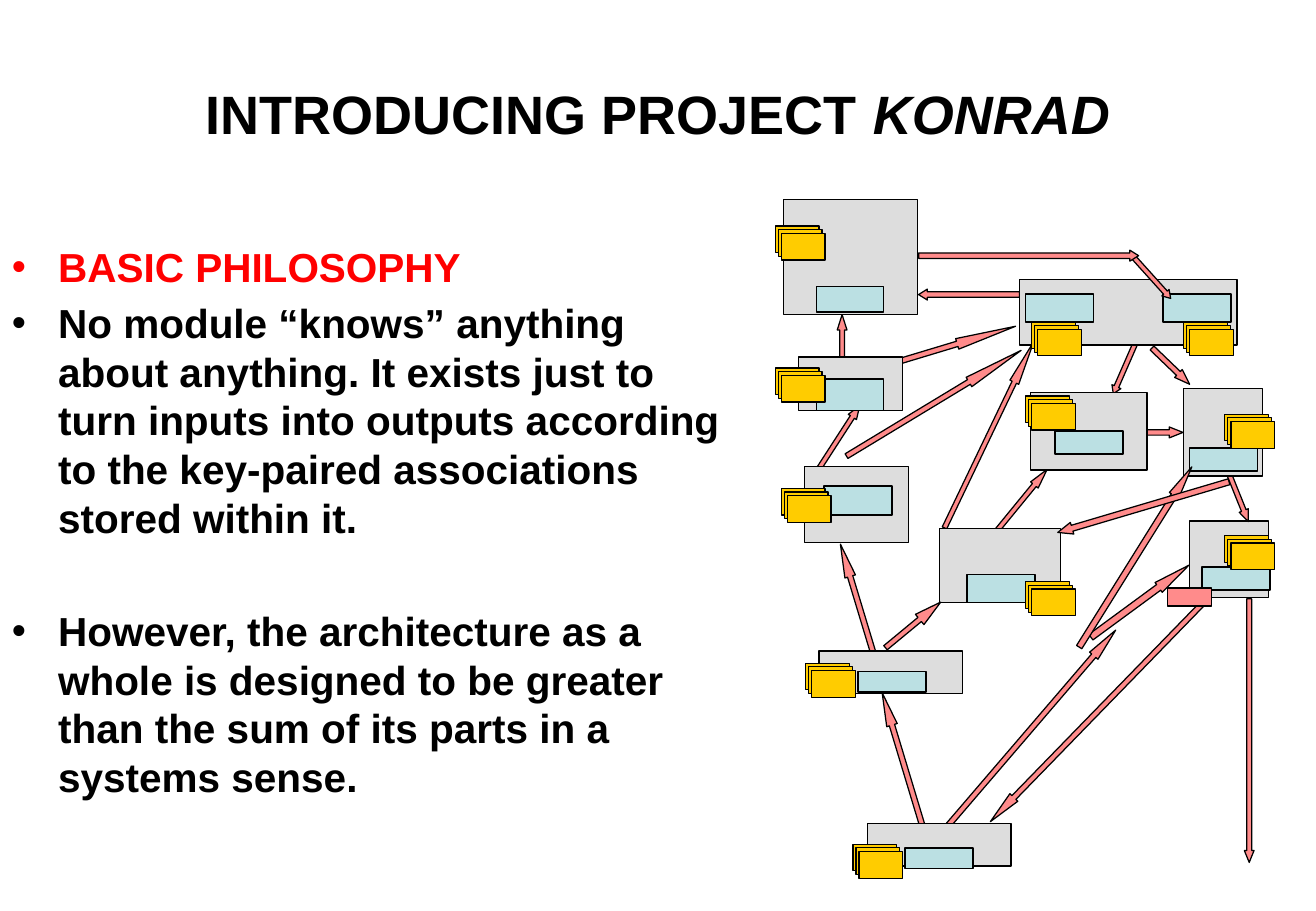
from lxml import etree
from pptx import Presentation
from pptx.dml.color import RGBColor
from pptx.enum.shapes import MSO_SHAPE
from pptx.enum.text import MSO_ANCHOR, PP_ALIGN
from pptx.oxml.ns import qn
from pptx.util import Inches, Pt

RECTANGLE, UP_ARROW = MSO_SHAPE.RECTANGLE, MSO_SHAPE.UP_ARROW
MIDDLE, CENTER = MSO_ANCHOR.MIDDLE, PP_ALIGN.CENTER
TEXT, ACCENT = "000000", "FF0000"
GREY, BLUE, YELLOW, RED = "DDDDDD", "BBE0E3", "FFCC00", "FF8B8B"


def color(value):
    return RGBColor.from_string(value)


def add_part(kind, left, top, width, height, fill, line_width=0.75):
    part = page.shapes.add_shape(kind, Inches(left), Inches(top), Inches(width), Inches(height))
    part.shadow.inherit = False
    part.fill.solid()
    part.fill.fore_color.rgb = color(fill)
    part.line.color.rgb = color(TEXT)
    part.line.width = Pt(line_width)
    return part


deck = Presentation()
deck.slide_width, deck.slide_height = Inches(10.83), Inches(7.5)
page = deck.slides.add_slide(deck.slide_layouts[6])

# Title
box = page.shapes.add_textbox(0, 0, Inches(10.83), Inches(1.86))
box.text_frame.word_wrap = True
box.text_frame.vertical_anchor = MIDDLE
para = box.text_frame.paragraphs[0]
para.alignment = CENTER
for text, italic in [("INTRODUCING PROJECT ", False), ("KONRAD", True)]:
    span = para.add_run()
    span.text = text
    span.font.color.rgb = color(TEXT)
    font_format = {"name": "Arial", "size": Pt(32), "bold": True, "italic": italic}
    for name, value in font_format.items():
        setattr(span.font, name, value)

# Bulleted text: wording, colour, space before
bullets = [
    ("BASIC PHILOSOPHY", ACCENT, 0),
    ("No module “knows” anything about anything. It exists just to turn inputs into outputs "
     "according to the key-paired associations stored within it.", TEXT, 4.3),
    ("However, the architecture as a whole is designed to be greater than the sum of its parts "
     "in a systems sense.", TEXT, 38),
]
box = page.shapes.add_textbox(0, Inches(1.94), Inches(6.04), Inches(5.33))
box.text_frame.word_wrap = True
for number, (text, text_color, space) in enumerate(bullets):
    para = box.text_frame.add_paragraph() if number else box.text_frame.paragraphs[0]
    para.line_spacing = Pt(28.9)
    para.space_before = Pt(space)
    properties = para._p.get_or_add_pPr()
    properties.set("marL", str(Inches(0.38)))
    properties.set("indent", str(-Inches(0.38)))
    etree.SubElement(properties, qn("a:buFont")).set("typeface", "Arial")
    etree.SubElement(properties, qn("a:buChar")).set("char", "•")
    span = para.add_run()
    span.text = text
    span.font.color.rgb = color(text_color)
    for name, value in {"name": "Arial", "size": Pt(24), "bold": True}.items():
        setattr(span.font, name, value)

# Arrows: left, top, width, length, angle, head ratio, shaft ratio
back_arrows = [
    (7.82, 2.32, 0.09, 1.03, 73.2, 5.57, 0.5),
    (7.38, 5.68, 0.09, 1.14, 343.2, 3.08, 0.5),
    (7.93, 2.01, 0.09, 0.83, 270, 0.8, 0.5),
    (9.21, 2.82, 0.08, 0.44, 203.6, 0.8, 0.5),
    (9.5, 3.37, 0.09, 0.38, 90, 1.25, 0.5),
    (8.1, 2.73, 0.08, 1.7, 25.6, 4.63, 0.5),
    (6.89, 2.59, 0.08, 0.58, 0, 1.58, 0.5),
    (8.34, 3.78, 0.08, 0.75, 39.3, 2.07, 0.5),
    (6.87, 3.29, 0.08, 0.61, 32.9, 1.4, 0.5),
    (7.64, 2.48, 0.09, 1.68, 58.8, 5.57, 0.5),
    (10.15, 3.87, 0.08, 0.44, 158.1, 1.23, 0.5),
    (7.01, 4.46, 0.09, 0.96, 343.2, 3.08, 0.5),
]
front_arrows = [
    (9.59, 2.8, 0.09, 0.43, 133.9, 1.42, 0.5),
    (7.46, 4.85, 0.11, 0.59, 50.4, 2.05, 0.4),
    (9.43, 2.03, 0.08, 0.49, 138, 0.8, 0.5),
    (8.42, 1.2, 0.09, 1.81, 90, 0.8, 0.5),
    (8.98, 4.61, 0.09, 2.51, 224.2, 3.08, 0.5),
    (9.33, 4.45, 0.1, 1, 53.7, 3.08, 0.57),
    (9.3, 3.71, 0.09, 1.75, 32, 3.08, 0.57),
    (8.44, 4.93, 0.09, 2.14, 40.6, 3.08, 0.5),
    (9.36, 3.44, 0.1, 1.47, 253.5, 1.23, 0.5),
    (10.24, 4.93, 0.08, 2.17, 180, 1.23, 0.5),
]

# Modules and their blue panels: left, top, width, height
exit_module = [(9.79, 4.29, 0.65, 0.63)]
modules = [
    (8.39, 2.3, 1.79, 0.54), (9.74, 3.2, 0.65, 0.72), (6.62, 3.84, 0.86, 0.63),
    (6.45, 1.64, 1.1, 0.95), (8.48, 3.23, 0.96, 0.64), (6.57, 2.94, 0.86, 0.44),
    (6.74, 5.36, 1.18, 0.35), (7.73, 4.35, 1, 0.61),
]
panels = [
    (8.44, 2.42, 0.56, 0.23), (6.78, 4, 0.56, 0.24), (6.72, 3.12, 0.55, 0.26),
    (7.06, 5.53, 0.56, 0.17), (9.57, 2.42, 0.56, 0.23), (6.72, 2.36, 0.55, 0.21),
    (7.96, 4.73, 0.56, 0.23), (9.79, 3.69, 0.56, 0.19), (9.89, 4.67, 0.56, 0.19),
    (8.68, 3.55, 0.56, 0.19),
]
entry_module = [(7.14, 6.78, 1.18, 0.35)]
entry_panel = [(7.45, 6.98, 0.56, 0.17)]
output_block = [(9.61, 4.84, 0.36, 0.15)]

# Diagram layers from back to front
layers = [
    (exit_module, GREY, 0.75), (back_arrows, RED, 0.75), (modules, GREY, 0.75),
    (panels, BLUE, 1), (front_arrows, RED, 0.75), (output_block, RED, 0.75),
    (entry_module, GREY, 0.75), (entry_panel, BLUE, 1),
]
for parts, fill, line_width in layers:
    for left, top, width, height, *arrow_format in parts:
        kind = UP_ARROW if arrow_format else RECTANGLE
        part = add_part(kind, left, top, width, height, fill, line_width)
        if arrow_format:
            part.rotation, head, shaft = arrow_format
            part.adjustments[0] = shaft
            part.adjustments[1] = head

# Stacks of three yellow cards
stacks = [
    (6.38, 3.03), (10.08, 4.41), (10.08, 3.41), (9.74, 2.65), (8.49, 2.65), (8.44, 3.26),
    (8.44, 4.79), (6.43, 4.02), (6.63, 5.46), (7.02, 6.95), (6.38, 1.86),
]
for left, top in stacks:
    for card in range(3):
        add_part(RECTANGLE, left + card * 0.025, top + card * 0.03, 0.36, 0.22, YELLOW)

deck.save("out.pptx")
